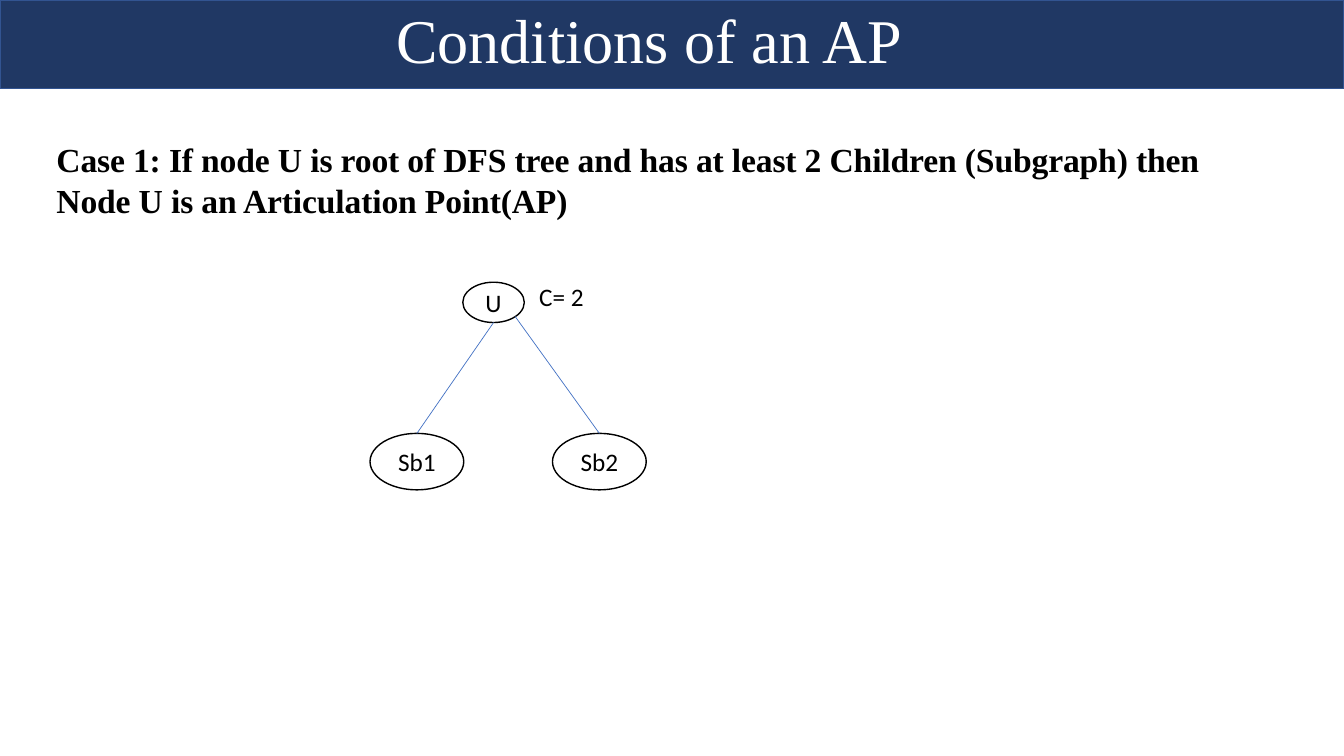
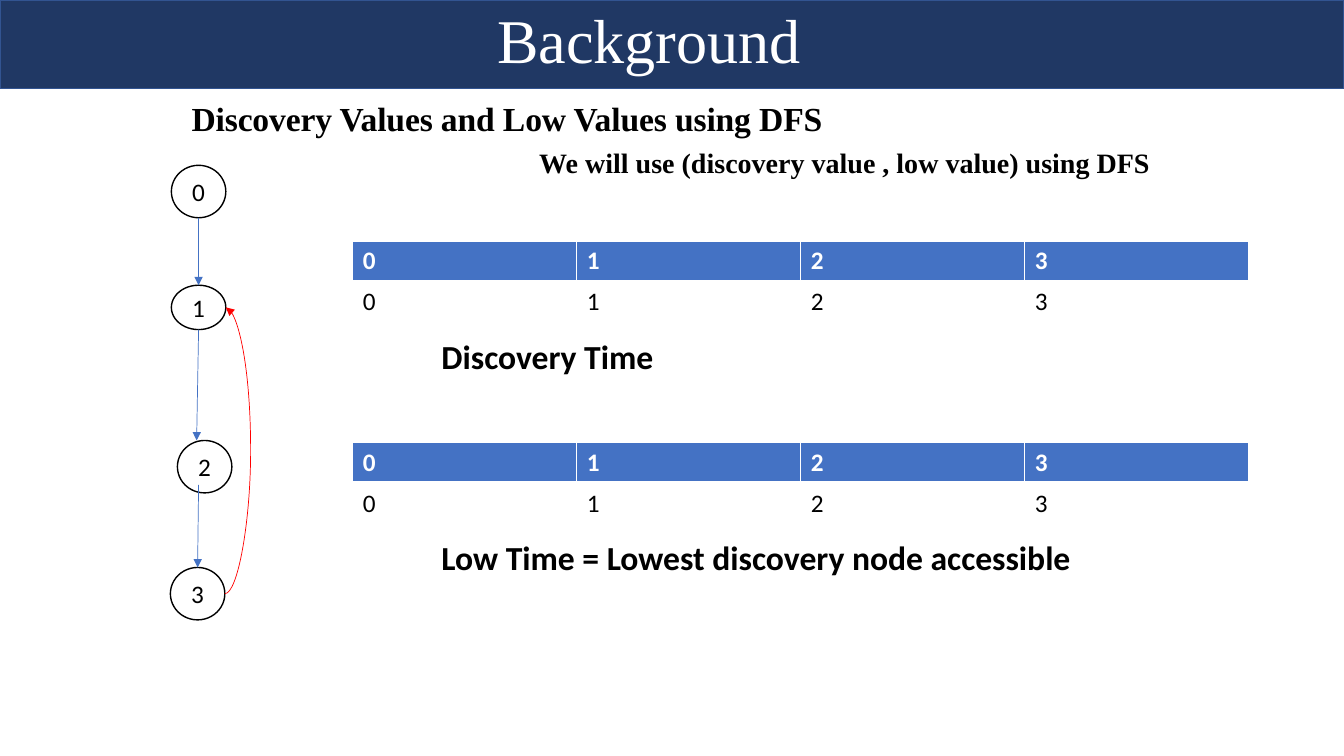
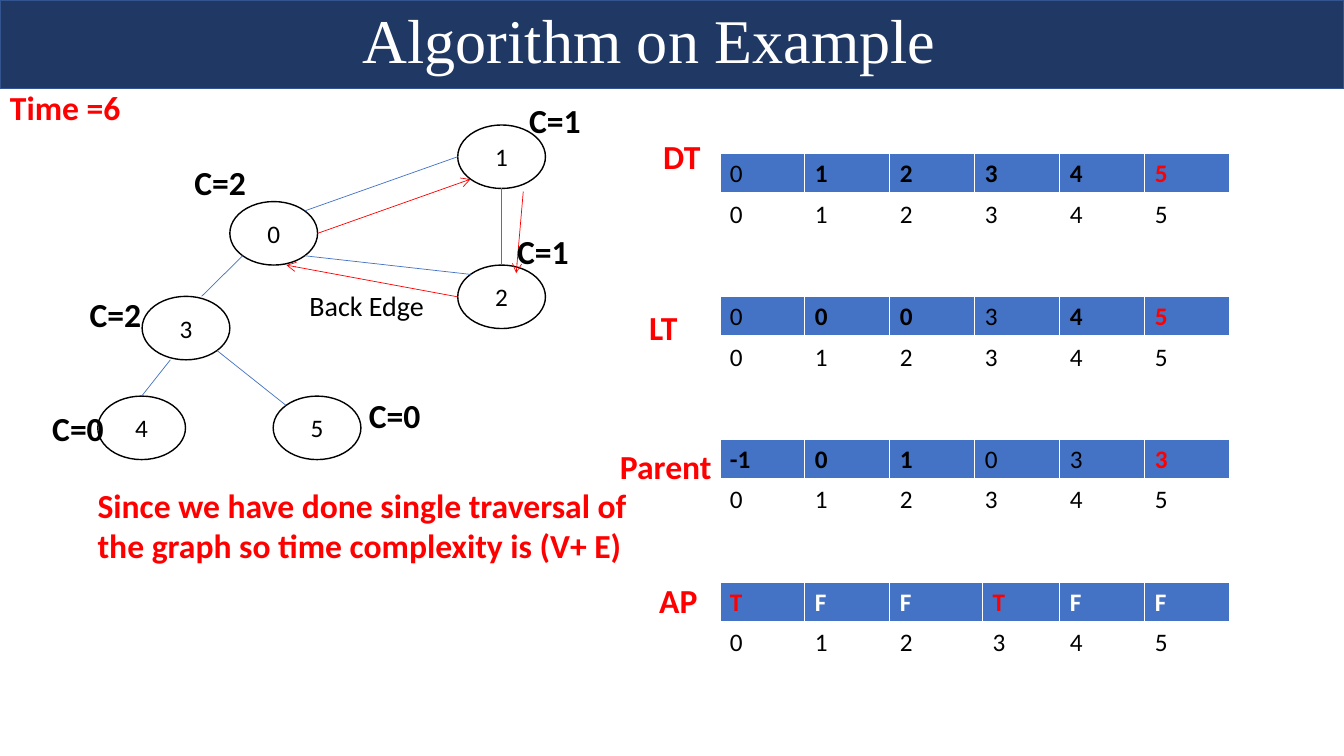
from math import sqrt

from lxml import etree
from pptx import Presentation
from pptx.dml.color import RGBColor
from pptx.enum import shapes, text
from pptx.oxml import ns
from pptx.util import Emu, Inches, Pt

COLORS = {"navy": "203864", "band_edge": "325491", "blue": "4472C4",
          "red": "FF0000", "black": "000000", "white": "FFFFFF"}
SERIF, SANS = "Times New Roman", "Calibri"
ROWS = 75
DIAGONAL = sqrt(0.5)
COMPASS = {"N": (0, -1), "S": (0, 1), "W": (-1, 0), "E": (1, 0),
           "NE": (DIAGONAL, -DIAGONAL), "NW": (-DIAGONAL, -DIAGONAL),
           "SE": (DIAGONAL, DIAGONAL), "SW": (-DIAGONAL, DIAGONAL)}
HEADER_STYLES = {"W": ("white", True), "K": ("black", True),
                 "k": ("black", False), "R": ("red", True)}


def rgb(name):
    return RGBColor.from_string(COLORS[name])


def add_xml(parent, tag, **attributes):
    return etree.SubElement(parent, ns.qn(tag), attributes)


class Deck:
    """Style and current slide, measured in square grid cells, 75 to the slide's height."""

    def __init__(self):
        self.show = Presentation()
        self.show.slide_width, self.show.slide_height = Inches(13.33), Inches(7.5)
        self.cell = self.show.slide_height / ROWS
        self.columns = self.show.slide_width / self.cell

    def grid(self, *lengths):
        return [Emu(round(length * self.cell)) for length in lengths]

    def start(self, title):
        self.slide = self.show.slides.add_slide(self.show.slide_layouts[6])
        self.nodes = {}
        self.shape(shapes.MSO_SHAPE.RECTANGLE, (0, 0, self.columns, 8.8),
                   "navy", "band_edge")
        self.label(title, (6.9, 0, 115, 8), 44.4, "white", False, SERIF,
                   anchor=text.MSO_ANCHOR.BOTTOM, align=text.PP_ALIGN.CENTER)

    def shape(self, kind, box, fill, line):
        figure = self.slide.shapes.add_shape(kind, *self.grid(*box))
        figure.shadow.inherit = False
        figure.fill.solid()
        figure.fill.fore_color.rgb = rgb(fill)
        figure.line.color.rgb = rgb(line)
        figure.line.width = Pt(1)
        return figure

    def add_words(self, paragraph, words, size, color, bold, font):
        run = paragraph.add_run()
        run.text = words
        run.font.size, run.font.bold, run.font.name = Pt(size), bold, font
        run.font.color.rgb = rgb(color)
        return run

    def label(self, words, box, size=24, color="black", bold=True, font=SANS,
              anchor=text.MSO_ANCHOR.TOP, align=text.PP_ALIGN.LEFT):
        frame = self.slide.shapes.add_textbox(*self.grid(*box)).text_frame
        frame.word_wrap, frame.vertical_anchor = True, anchor
        frame.paragraphs[0].alignment = align
        return frame, self.add_words(frame.paragraphs[0], words, size, color, bold, font)

    def statement(self, words, box):
        frame, run = self.label(words, box, font=SERIF)
        frame.margin_left = frame.margin_right = frame.margin_bottom = 0
        frame.margin_top = Inches(0.02)
        run.font._element.set("spc", "-10")

    def node(self, name, left, top, width, height):
        figure = self.shape(shapes.MSO_SHAPE.OVAL, (left, top, width, height),
                            "white", "black")
        frame = figure.text_frame
        frame.word_wrap, frame.vertical_anchor = False, text.MSO_ANCHOR.MIDDLE
        frame.paragraphs[0].alignment = text.PP_ALIGN.CENTER
        self.add_words(frame.paragraphs[0], name, 18, "black", False, SANS)
        self.nodes[name] = (left + width / 2, top + height / 2, width / 2, height / 2)

    def point(self, end):
        if end[0] not in self.nodes:
            return end
        x, y, across, down = self.nodes[end[0]]
        dx, dy = COMPASS[end[1]]
        return x + dx * across, y + dy * down

    def edge(self, start, end, color="blue", arrow=None, bulge=None):
        """Join two points or (node, compass side) pairs; bulge makes a curve."""
        first, last = self.point(start), self.point(end)
        kind = shapes.MSO_CONNECTOR.CURVE if bulge else shapes.MSO_CONNECTOR.STRAIGHT
        link = self.slide.shapes.add_connector(kind, *self.grid(*first, *last))
        link.line.color.rgb = rgb(color)
        link.line.width = Pt(0.5)
        if arrow:
            add_xml(link.line._get_or_add_ln(), "a:tailEnd", type=arrow)
        if bulge:
            ratio = round(bulge / (last[0] - first[0]) * 100000)
            guides = link._element.spPr.find(ns.qn("a:prstGeom")).get_or_add_avLst()
            add_xml(guides, "a:gd", name="adj1", fmla=f"val {ratio}")
        add_xml(link._element.spPr, "a:effectLst")

    def table(self, left, top, widths, header, styles):
        """Draw a coloured header of values over a row of node numbers."""
        frame = self.slide.shapes.add_table(
            2, len(widths), *self.grid(left, top, sum(widths), 8.1))
        grid = frame.table
        for column, width in zip(grid.columns, self.grid(*widths)):
            column.width = width
        for row in grid.rows:
            row.height = self.grid(4.05)[0]
        for index, (value, style) in enumerate(zip(header, styles)):
            self.fill_cell(grid.cell(0, index), value, "blue", *HEADER_STYLES[style], 1, 3)
            self.fill_cell(grid.cell(1, index), str(index), "white", "black", False, 3, 1)

    def fill_cell(self, cell, value, fill, color, bold, above, below):
        properties = cell._tc.get_or_add_tcPr()
        for side, width in zip("LRTB", (1, 1, above, below)):
            border = add_xml(properties, f"a:ln{side}", w=str(Pt(width)))
            add_xml(add_xml(border, "a:solidFill"), "a:srgbClr", val=COLORS["white"])
        cell.fill.solid()
        cell.fill.fore_color.rgb = rgb(fill)
        self.add_words(cell.text_frame.paragraphs[0], value, 18, color, bold, SANS)


def conditions(deck):
    deck.start("Conditions of an AP")
    deck.statement("Case 1: If node U is root of DFS tree and has at least 2 Children "
                   "(Subgraph) then Node U is an Articulation Point(AP)",
                   (5.6, 13.6, 115, 12.8))
    deck.node("U", 45.9, 28, 6.1, 4)
    for name, left in (("Sb2", 54.8), ("Sb1", 36.7)):
        deck.node(name, left, 43, 9.3, 5.6)
    deck.edge(("U", "S"), ("Sb1", "N"))
    deck.edge(("U", "SE"), ("Sb2", "N"))
    deck.label("C= 2", (52.5, 27.4, 8.3, 4), 18, bold=False)


def background(deck):
    deck.start("Background")
    deck.statement("Discovery Values and Low Values using DFS", (19, 9.5, 65.6, 8.8))
    for name, left, top, height in (("1", 17, 28.3, 4.4), ("2", 17.6, 43.7, 5.2),
                                    ("0", 17, 16.4, 5.2), ("3", 16.9, 56.3, 5.2)):
        deck.node(name, left, top, 5.4, height)
    deck.label("We will use (discovery value , low value) using DFS",
               (52.5, 13.9, 69.4, 4.4), 20, font=SERIF)
    for top, caption, width in (
            (23.9, "Discovery Time", 23.5),
            (43.9, "Low Time = Lowest discovery node accessible", 75.5)):
        deck.table(35, top, [22.22] * 4, "0123", "WWWW")
        deck.label(caption, (42.8, top + 8.9, width, 5))
    for start, end in ((("0", "S"), ("1", "N")),
                       (("1", "S"), (19.5, 43.7)),
                       ((19.7, 48.1), ("3", "N"))):
        deck.edge(start, end, arrow="triangle")
    deck.edge(("3", "E"), ("1", "E"), "red", "triangle", bulge=2.6)


def example(deck):
    deck.start("Algorithm on Example")
    for name, left, top in (("1", 45.4, 12.4), ("0", 22.8, 20), ("2", 45.4, 26.3),
                            ("3", 14.1, 29.4), ("4", 9.7, 39.3), ("5", 27.1, 39.3)):
        deck.node(name, left, top, 8.7, 6.3)
    for start, end in ((("0", "NE"), ("1", "W")), (("1", "S"), ("2", "N")),
                       (("0", "SE"), ("2", "NW")), (("0", "SW"), (20, 29.4)),
                       ((16.9, 35.7), ("4", "N")), (("3", "SE"), ("5", "NW"))):
        deck.edge(start, end)
    for start, end in ((("0", "E"), ("1", "SW")), ((51.9, 19), (51.2, 27.1)),
                       (("2", "W"), (28.4, 26.3))):
        deck.edge(start, end, "red", "arrow")

    even = [8.43] * 6
    arrays = (("DT", 64.8, 13, 8, even, "0 1 2 3 4 5", "kKKKKR"),
              ("LT", 63.4, 30, 8, even, "0 0 0 3 4 5", "kKKkKR"),
              ("Parent", 60.5, 43.7, 12.3, even, "-1 0 1 0 3 3", "KKKkkR"),
              ("AP", 64.4, 57, 8, [8.43, 8.43, 9.2, 7.66, 8.43, 8.43],
               "T F F T F F", "RWWRWW"))
    for index, (name, left, top, width, widths, values, styles) in enumerate(arrays):
        deck.table(71.4, 15.2 + 14.18 * index, widths, values.split(), styles)
        deck.label(name, (left, top, width, 5), color="red")

    for count, left, top in ((2, 18.3, 15.6), (1, 51.5, 9.4), (1, 50.3, 22.4),
                             (2, 7.9, 28.7), (0, 4.2, 40), (0, 35.6, 38.7)):
        deck.label(f"C={count}", (left, top, 8.7, 5))
    deck.label("Time =6", (0, 8.1, 54.7, 5), color="red")
    deck.label("Back Edge", (29.7, 28.1, 15.8, 4.4), 20, bold=False)
    deck.label("Since we have done single traversal of the graph so time "
               "complexity is (V+ E)", (8.7, 47.6, 54.7, 21.2), color="red")


def main():
    deck = Deck()
    for build in (conditions, background, example):
        build(deck)
    deck.show.save("out.pptx")


if __name__ == "__main__":
    main()
